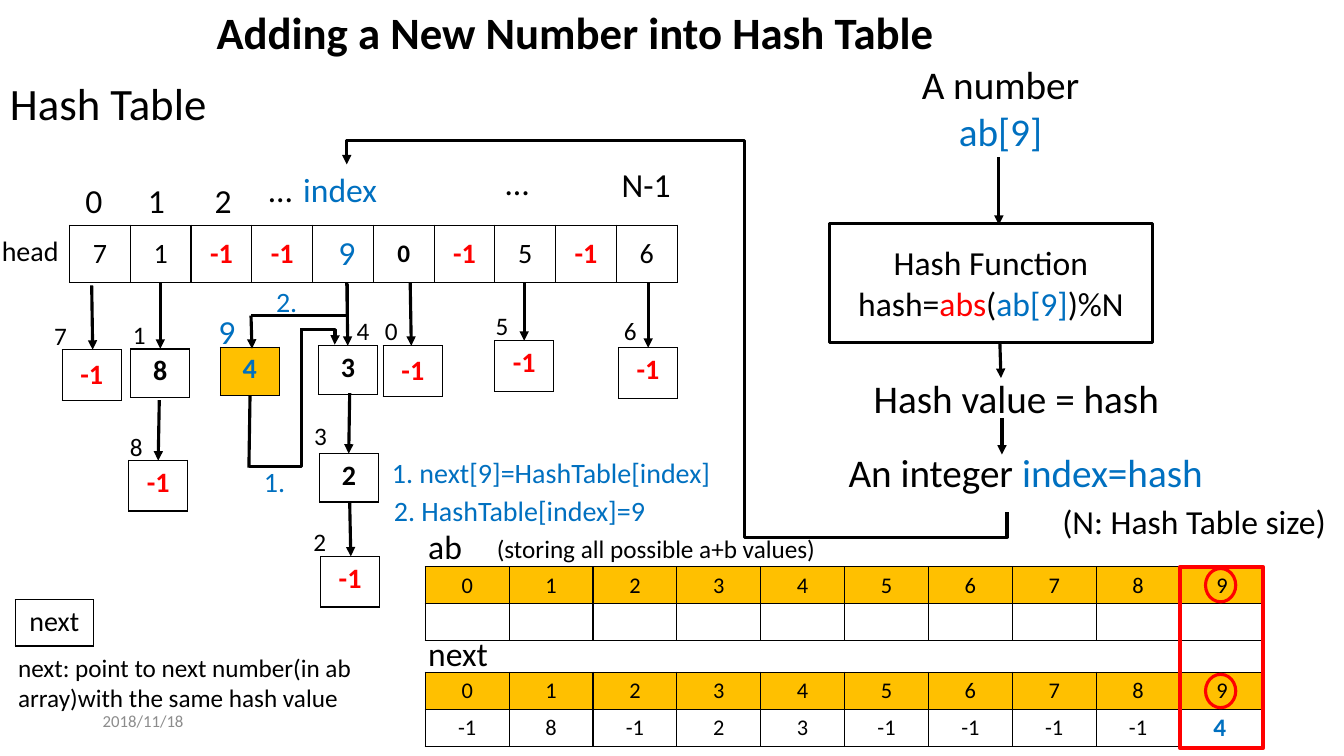
"""Build the slide that explains adding a number to a hash table."""
from dataclasses import dataclass
from typing import Optional

from lxml import etree
from pptx import Presentation
from pptx.dml.color import RGBColor
from pptx.enum.shapes import MSO_CONNECTOR as CONN, MSO_SHAPE as SHAPE
from pptx.enum.text import MSO_ANCHOR as ANCHOR, PP_ALIGN as ALIGN
from pptx.oxml import parse_xml
from pptx.oxml.ns import nsdecls, qn
from pptx.util import Pt

BLACK = RGBColor(0x00, 0x00, 0x00)
WHITE = RGBColor(0xFF, 0xFF, 0xFF)
BLUE = RGBColor(0x00, 0x70, 0xC0)
RED = RGBColor(0xFF, 0x00, 0x00)
GOLD = RGBColor(0xFF, 0xC0, 0x00)
GREY = RGBColor(0x8C, 0x8C, 0x8C)
NODE_W = 42.2


@dataclass
class Label:
    x: float
    y: float
    w: float
    runs: list[tuple[str, RGBColor]]
    size: float
    bold: bool = False
    align: ALIGN = ALIGN.LEFT
    lines: int = 1
    fill: Optional[RGBColor] = None


@dataclass
class Cell:
    text: str = ""
    size: float = 20
    color: RGBColor = BLACK
    bold: bool = False
    fill: Optional[RGBColor] = None


@dataclass
class Node:
    x: float
    y: float
    h: float
    cell: Cell
    middle: bool = False


@dataclass
class Elbow:
    x: float
    y: float
    w: float
    h: float
    adjust: list[int]
    turn: int = 0
    flips: str = ""
    arrow: bool = False


def one(x: float, y: float, w: float, text: str, size: float,
        color: RGBColor = BLACK, bold: bool = False, lines: int = 1,
        fill: Optional[RGBColor] = None) -> Label:
    return Label(x, y, w, [(text, color)], size, bold, lines=lines, fill=fill)


def minus_one() -> Cell:
    return Cell("-1", color=RED, bold=True)


LABELS = [
    one(147.6, 0, 535.7, "Adding a New Number into Hash Table", 32, bold=True),
    one(0, 50.4, 166.3, "Hash Table", 32),
    one(-5.8, 163.4, 56.9, "head", 20),
    one(54, 124.6, 28.8, "0", 24),
    one(98.6, 124.6, 28.8, "1", 24),
    one(146.2, 124.6, 28.8, "2", 24),
    one(185, 117.4, 28.8, "…", 24),
    one(209.5, 117, 76.3, "index", 24, BLUE),
    one(354.2, 111.9, 28.8, "…", 24),
    one(437, 113.8, 54, "N-1", 24),
    one(234.7, 162, 24.5, "9", 24, BLUE, fill=WHITE),
    one(149, 218.2, 24.5, "9", 24, BLUE),
    one(166.3, 247, 25.9, "4", 20, BLUE, True),
    one(859.7, 504.7, 25.9, "4", 18, BLUE, True),
    one(181.4, 328.3, 38.9, "1.", 20, BLUE),
    one(190.1, 199.4, 38.9, "2.", 20, BLUE),
    one(272.9, 321.8, 252, "1. next[9]=HashTable[index]", 20, BLUE),
    one(274.3, 349.2, 252, "2. HashTable[index]=9", 20, BLUE),
    one(298.8, 372.2, 182, "ab", 24),
    one(347.8, 377.3, 254.2, "(storing all possible a+b values)", 18),
    one(298.8, 448.6, 182, "next", 24),
    one(617, 263.5, 230.4, "Hash value = hash", 28),
    one(751.7, 354.2, 208.1, "(N: Hash Table size)", 24),
    one(66.2, 503.9, 216, "2018/11/18", 12, GREY),
    one(5.8, 462.2, 258.5, "next: point to next number(in ab array)with the same hash value", 18,
        lines=2),
    Label(565.9, 316.8, 333.4, [("An integer ", BLACK), ("index=hash", BLUE)], 28,
          align=ALIGN.CENTER),
    Label(650.2, 39.3, 128.9, [("A number ", BLACK), ("ab[9]", BLUE)], 28,
          align=ALIGN.CENTER, lines=2),
]
KEYS = [("7", 31.7, 225.4), ("1", 87.8, 224.6), ("8", 85.7, 304.6), ("3", 217.4, 296.6),
        ("2", 216.7, 372.2), ("0", 267.8, 221.8), ("5", 347, 218.2), ("6", 438.5, 221.8),
        ("4", 247.7, 221.8)]
LABELS += [one(x, y, 26.6, key, 18) for key, x, y in KEYS]

NODES = [
    Node(157.5, 248, 34.6, Cell(fill=GOLD)),
    Node(227.5, 247, 34.6, Cell("3", bold=True)),
    Node(228.2, 324, 34.6, Cell("2", bold=True)),
    Node(93.3, 249.3, 34.6, Cell("8", bold=True)),
    Node(229, 397.6, 36, minus_one()),
    Node(353.3, 243.4, 36, minus_one()),
    Node(441.8, 248.4, 36, minus_one()),
    Node(91.9, 329, 36, minus_one()),
    Node(44.4, 249.8, 36, minus_one(), middle=True),
    Node(273.8, 247, 36, minus_one(), middle=True),
]
ARROWS = [
    (713.5, 112.3, 713.5, 160.6), (714.2, 244.1, 715, 270), (715.7, 298.8, 715.7, 324.7),
    (65.5, 203.8, 66.2, 249.8), (114.5, 201.6, 114.5, 249.1), (113.8, 285.8, 113, 329),
    (179.3, 225.4, 180, 249.1), (247.7, 201.6, 248.4, 247), (249.8, 280.8, 249.1, 324),
    (249.8, 359.3, 250.6, 397.4), (293, 201.6, 293.8, 247), (374.4, 202.3, 374.4, 243.4),
    (463, 201.6, 463, 248.4),
]
ELBOWS = [
    Elbow(359.3, 5.8, 248.4, 471.6, [-7200, 39800, 106800], 90, "H", arrow=True),
    Elbow(179.3, 203, 68.4, 22.3, [-900], 180, "V"),
    Elbow(147.6, 265, 98.6, 37.4, [-200], 90, "HV"),
    Elbow(215.3, 235.4, 23.8, 10.8, [101100], arrow=True),
]


def put(p, text: str, *, size: float, color: RGBColor = BLACK, bold: bool = False,
        align: ALIGN = ALIGN.LEFT) -> None:
    p.alignment = align
    r = p.add_run()
    r.text = text
    r.font.name, r.font.size, r.font.bold = "Calibri", Pt(size), bold
    r.font.color.rgb = color


def add_label(s, label: Label) -> None:
    height = label.size * 1.22 * label.lines + 7.2
    box = s.shapes.add_textbox(Pt(label.x), Pt(label.y), Pt(label.w), Pt(height))
    if label.fill is not None:
        box.fill.solid()
        box.fill.fore_color.rgb = label.fill
    tf = box.text_frame
    tf.word_wrap = True
    for text, color in label.runs:
        put(tf.paragraphs[0], text, size=label.size, color=color, bold=label.bold,
            align=label.align)


def add_grid(s, x: float, y: float, col_w: float, row_h: float, rows: list[list[Cell]],
             middle: bool = True) -> None:
    n_rows, n_cols = len(rows), len(rows[0])
    table = s.shapes.add_table(n_rows, n_cols, Pt(x), Pt(y), Pt(col_w * n_cols),
                               Pt(row_h * n_rows)).table
    table.first_row = table.horz_banding = False
    for col in table.columns:
        col.width = Pt(col_w)
    for row, cells in zip(table.rows, rows):
        row.height = Pt(row_h)
        for tc, cell in zip(row.cells, cells):
            if middle:
                tc.vertical_anchor = ANCHOR.MIDDLE
                tc.margin_top = tc.margin_bottom = Pt(2)
            if cell.fill is None:
                tc.fill.background()
            else:
                tc.fill.solid()
                tc.fill.fore_color.rgb = cell.fill
            for i, side in enumerate("LRTB"):
                tc._tc.get_or_add_tcPr().insert(i, parse_xml(
                    f'<a:ln{side} {nsdecls("a")} w="12700"><a:solidFill>'
                    f'<a:srgbClr val="{BLACK}"/></a:solidFill></a:ln{side}>'))
            if cell.text:
                put(tc.text_frame.paragraphs[0], cell.text, size=cell.size, color=cell.color,
                    bold=cell.bold, align=ALIGN.CENTER)


def add_line(s, ends: tuple[float, float, float, float], arrow: bool = True,
             kind: CONN = CONN.STRAIGHT):
    line = s.shapes.add_connector(kind, *map(Pt, ends))
    line.line.color.rgb, line.line.width = BLACK, Pt(2.25)
    if arrow:
        etree.SubElement(line.line._get_or_add_ln(), qn("a:tailEnd"), type="triangle")
    etree.SubElement(line._element.spPr, qn("a:effectLst"))
    return line


def add_elbow(s, e: Elbow) -> None:
    spPr = add_line(s, (e.x, e.y, e.x + e.w, e.y + e.h), e.arrow, CONN.ELBOW)._element.spPr
    spPr.xfrm.set("rot", str(e.turn * 60000))
    for axis in e.flips:
        spPr.xfrm.set(f"flip{axis}", "1")
    geom = spPr.find(qn("a:prstGeom"))
    geom.set("prst", f"bentConnector{len(e.adjust) + 2}")
    guides = geom.find(qn("a:avLst"))
    for i, value in enumerate(e.adjust, 1):
        etree.SubElement(guides, qn("a:gd"), name=f"adj{i}", fmla=f"val {value}")


def add_outline(s, kind: SHAPE, x: float, y: float, w: float, h: float, color: RGBColor,
                weight: float):
    sp = s.shapes.add_shape(kind, Pt(x), Pt(y), Pt(w), Pt(h))
    sp.shadow.inherit = False
    sp.fill.background()
    sp.line.color.rgb, sp.line.width = color, Pt(weight)
    return sp


def main() -> None:
    prs = Presentation()
    prs.slide_width, prs.slide_height = Pt(960), Pt(540)
    s = prs.slides.add_slide(prs.slide_layouts[6])

    heads = [minus_one() if v == "-1" else Cell(v) for v in "7 1 -1 -1".split()]
    heads += [Cell(), Cell("0", 18, bold=True), minus_one(), Cell("5"), minus_one(), Cell("6")]
    add_grid(s, 49.7, 160.9, 43.4, 41, [heads])
    index_row = [Cell(str(i), 16, fill=GOLD) for i in range(10)]
    next_row = [Cell(v, 16) for v in "-1 8 -1 2 3 -1 -1 -1 -1".split()] + [Cell()]
    for y, values in ((404.9, [Cell()] * 10), (480.2, next_row)):
        add_grid(s, 303.8, y, 59.9, 26.4, [index_row, values])
    add_grid(s, 10.8, 428.4, 56.2, 33.1, [[Cell("next")]], middle=False)
    for node in NODES:
        add_grid(s, node.x, node.y, NODE_W, node.h, [[node.cell]], node.middle)

    for ends in ARROWS:
        add_line(s, ends)
    add_line(s, (178.6, 283, 177.8, 334.1), arrow=False)
    for elbow in ELBOWS:
        add_elbow(s, elbow)

    tf = add_outline(s, SHAPE.RECTANGLE, 592.6, 159.4, 230.4, 85, BLACK, 2.25).text_frame
    tf.vertical_anchor = ANCHOR.MIDDLE
    put(tf.paragraphs[0], "Hash Function", size=24, align=ALIGN.CENTER)
    p = tf.add_paragraph()
    for text, color in (("hash=", BLACK), ("abs", RED), ("(", BLACK), ("ab[9]", BLUE),
                        (")%N", BLACK)):
        put(p, text, size=24, color=color, align=ALIGN.CENTER)
    for label in LABELS:
        add_label(s, label)
    add_outline(s, SHAPE.RECTANGLE, 843.1, 404.9, 59, 129.6, RED, 3)
    for y in (406.1, 481.7):
        add_outline(s, SHAPE.OVAL, 861.1, y, 21.6, 23.8, RED, 2.25)
    prs.save("out.pptx")


if __name__ == "__main__":
    main()
